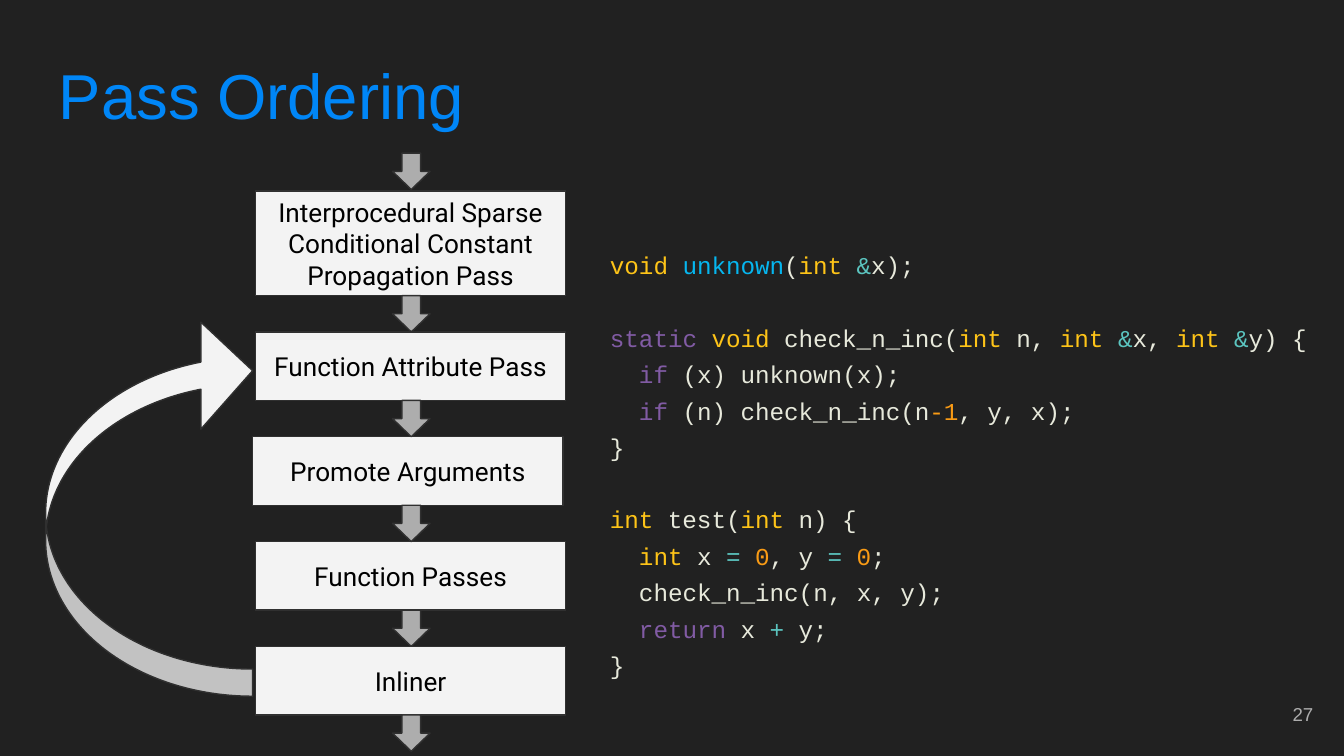
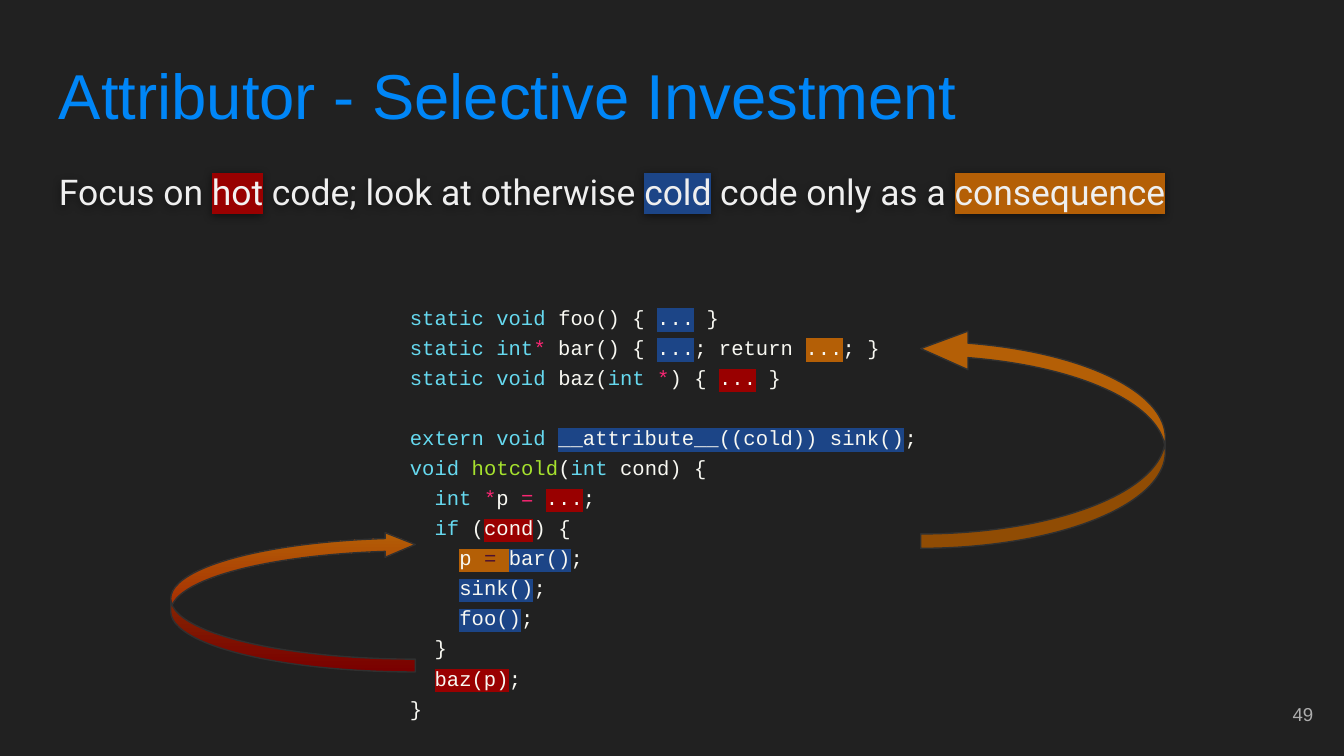
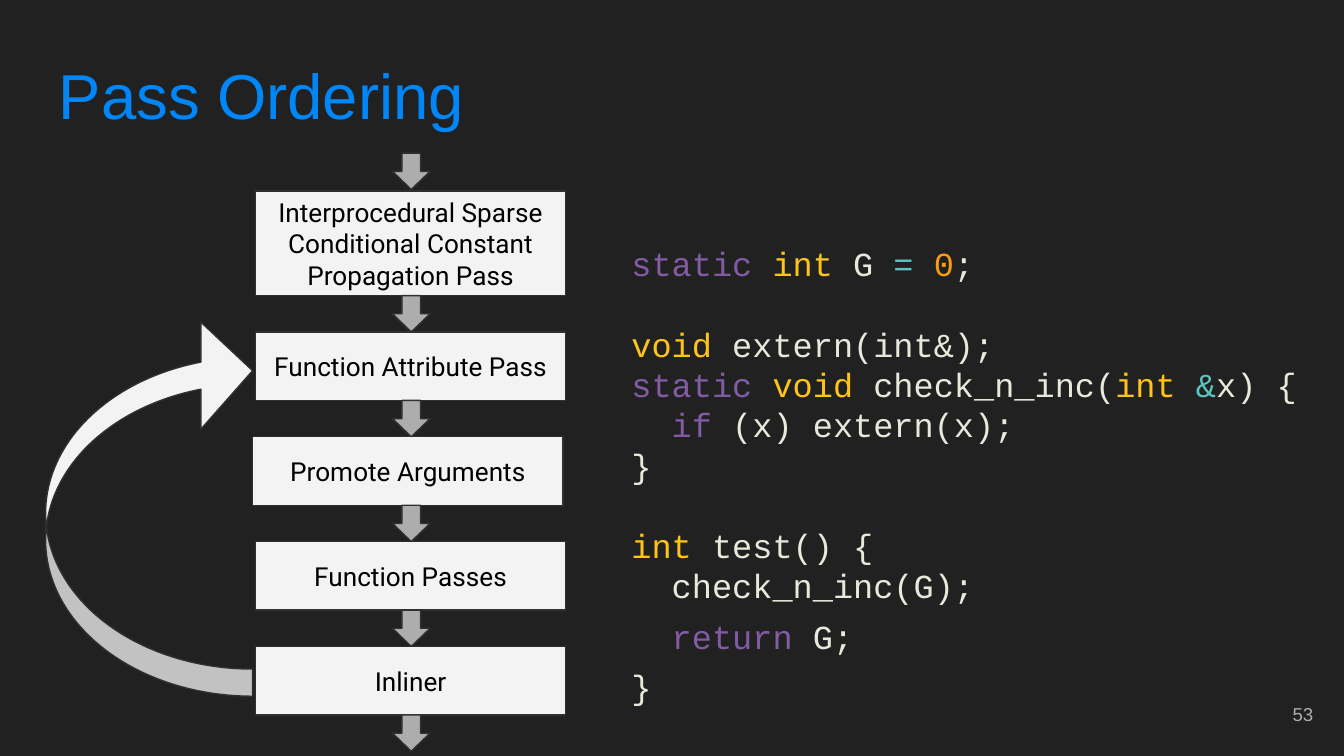
"""Builds three dark slides on compiler pass ordering and the Attributor."""
from lxml.etree import SubElement
from pptx import Presentation
from pptx.dml.color import RGBColor
from pptx.enum.shapes import MSO_SHAPE
from pptx.enum.text import MSO_ANCHOR, PP_ALIGN
from pptx.oxml.ns import qn
from pptx.util import Inches, Pt

COLORS = {
    "background": "212121", "title": "0086F7", "number": "ADADAD",
    "box": "F3F3F3", "arrow": "ADADAD", "outline": "303030", "black": "000000",
    "body": "EFEFEF", "hot": "990000", "cold": "1C4587", "consequence": "B45F06",
    "type": "FEC418", "word": "815BA4", "plain": "E7E9DB", "name": "06B6EF",
    "sign": "5BC4BF", "digit": "F99B15",
    "key": "66D9EF", "code": "F8F8F2", "star": "F92672", "func": "A6E22E",
    "assign": "4C1130",
}
SANS, BODY, MONO = "Arial", "Roboto", "Courier New"
LINE_HEIGHT = 1.19
PASSES = ["Function Attribute Pass", "Promote Arguments", "Function Passes", "Inliner"]

ARGUMENT_CODE = [
    [("void ", "type"), ("unknown", "name"), ("(", "plain"), ("int ", "type"),
     ("&", "sign"), ("x);", "plain")],
    [],
    [("static ", "word"), ("void ", "type"), ("check_n_inc(", "plain"),
     ("int ", "type"), ("n, ", "plain"), ("int ", "type"), ("&", "sign"),
     ("x, ", "plain"), ("int ", "type"), ("&", "sign"), ("y) {", "plain")],
    [("  if ", "word"), ("(x) unknown(x);", "plain")],
    [("  if ", "word"), ("(n) check_n_inc(n", "plain"), ("-1", "digit"),
     (", y, x);", "plain")],
    [("}", "plain")],
    [],
    [("int ", "type"), ("test(", "plain"), ("int ", "type"), ("n) {", "plain")],
    [("  int ", "type"), ("x ", "plain"), ("= ", "sign"), ("0", "digit"),
     (", y ", "plain"), ("= ", "sign"), ("0", "digit"), (";", "plain")],
    [("  check_n_inc(n, x, y);", "plain")],
    [("  return ", "word"), ("x ", "plain"), ("+ ", "sign"), ("y;", "plain")],
    [("}", "plain")],
]
HOT_COLD_CODE = [
    [("static void ", "key"), ("foo() { ", "code"), ("...", "code", "cold"),
     (" }", "code")],
    [("static int", "key"), ("* ", "star"), ("bar() { ", "code"),
     ("...", "code", "cold"), ("; return ", "code"),
     ("...", "code", "consequence"), ("; }", "code")],
    [("static void ", "key"), ("baz(", "code"), ("int ", "key"), ("*", "star"),
     (") { ", "code"), ("...", "code", "hot"), (" }", "code")],
    [],
    [("extern void ", "key"), ("__attribute__((cold))", "code", "cold"),
     (" sink()", "code", "cold"), (";", "code")],
    [("void ", "key"), ("hotcold", "func"), ("(", "code"), ("int ", "key"),
     ("cond) {", "code")],
    [("  int ", "key"), ("*", "star"), ("p ", "code"), ("= ", "star"),
     ("...", "code", "hot"), (";", "code")],
    [("  if ", "key"), ("(", "code"), ("cond", "code", "hot"), (") {", "code")],
    [("    ", "code"), ("p ", "code", "consequence"),
     ("= ", "assign", "consequence"), ("bar()", "code", "cold"), (";", "code")],
    [("    ", "code"), ("sink()", "code", "cold"), (";", "code")],
    [("    ", "code"), ("foo()", "code", "cold"), (";", "code")],
    [("  }", "code")],
    [("  ", "code"), ("baz(p)", "code", "hot"), (";", "code")],
    [("}", "code")],
]
GLOBAL_CODE = [
    [("static ", "word"), ("int ", "type"), ("G ", "plain"), ("= ", "sign"),
     ("0", "digit"), (";", "plain")],
    [],
    [("void ", "type"), ("extern(int&);", "plain")],
    [("static ", "word"), ("void ", "type"), ("check_n_inc(", "plain"),
     ("int ", "type"), ("&", "sign"), ("x) {", "plain")],
    [("  if ", "word"), ("(x) extern(x);", "plain")],
    [("}", "plain")],
    [],
    [("int ", "type"), ("test() {", "plain")],
    [("  check_n_inc(G);", "plain")],
    [("  return", "word"), (" G;", "plain")],
    [("}", "plain")],
]
FOCUS = [
    ("Focus on ", "body"), ("hot", "box", "hot"),
    (" code; look at otherwise ", "body"), ("cold", "body", "cold"),
    (" code only as a ", "body"), ("consequence", "body", "consequence"),
]


def rgb(key):
    """Return the named colour."""
    return RGBColor.from_string(COLORS[key])


def add_run(p, text, color, highlight=None, size=14, font=SANS):
    """Append one formatted run to a paragraph."""
    r = p.add_run()
    r.text = text
    r.font.size = Pt(size)
    r.font.name = font
    r.font.color.rgb = rgb(color)
    if highlight:
        rPr = r.font._element
        mark = SubElement(rPr, qn("a:highlight"))
        SubElement(mark, qn("a:srgbClr"), val=COLORS[highlight])
        rPr.find(qn("a:solidFill")).addnext(mark)


def set_frame(tf, anchor=MSO_ANCHOR.TOP):
    """Wrap a text frame and give it equal insets."""
    tf.word_wrap = True
    tf.vertical_anchor = anchor
    tf.margin_left = tf.margin_right = tf.margin_top = tf.margin_bottom = Inches(0.1)


def add_text(s, at, anchor=MSO_ANCHOR.TOP):
    """Add an empty text box."""
    sp = s.shapes.add_textbox(*map(Inches, at))
    set_frame(sp.text_frame, anchor)
    return sp


def add_shape(s, kind, at, fill, adjustments=()):
    """Add an outlined preset shape."""
    sp = s.shapes.add_shape(kind, *map(Inches, at))
    sp.shadow.inherit = False
    sp.fill.solid()
    sp.fill.fore_color.rgb = rgb(fill)
    sp.line.color.rgb = rgb("outline")
    sp.line.width = Pt(0.75)
    for i, value in enumerate(adjustments):
        sp.adjustments[i] = value
    return sp


def add_loop(s, kind, at, fill, adjustments, flip=False):
    """Add a curved arrow turned upside down."""
    sp = add_shape(s, kind, at, fill, adjustments)
    sp.rotation = 180
    if flip:
        sp._element.spPr.find(qn("a:xfrm")).set("flipH", "1")
    return sp


def add_pass(s, at, label):
    """Add a box naming one compiler pass."""
    sp = add_shape(s, MSO_SHAPE.RECTANGLE, at, "box")
    set_frame(sp.text_frame, MSO_ANCHOR.MIDDLE)
    p = sp.text_frame.paragraphs[0]
    p.alignment = PP_ALIGN.CENTER
    add_run(p, label, "black", font=BODY)


def add_pipeline(s):
    """Draw the pass pipeline with its loop back from the inliner."""
    step = 0.78
    add_pass(s, (1.9, 1.42, 2.31, 0.78),
             "Interprocedural Sparse Conditional Constant Propagation Pass")
    for i, label in enumerate(PASSES):
        left = 1.88 if label == "Promote Arguments" else 1.9
        add_pass(s, (left, 2.47 + i * step, 2.31, 0.51), label)
    for top in [1.14] + [2.2 + i * step for i in range(len(PASSES) + 1)]:
        add_shape(s, MSO_SHAPE.DOWN_ARROW, (2.92, top, 0.28, 0.27), "arrow")
    add_loop(s, MSO_SHAPE.CURVED_RIGHT_ARROW, (0.34, 2.36, 1.54, 2.82), "box",
             (0.131, 0.517, 0.25), flip=True)


def add_code(s, at, lines, size, spacings, indent=0):
    """Add a code listing, where an empty line becomes space before the next."""
    tf = add_text(s, at).text_frame
    tf.margin_left = Inches(0.1 + indent)
    p, gap = tf.paragraphs[0], 0
    for i, (line, spacing) in enumerate(zip(lines, spacings)):
        if not line:
            gap = size * LINE_HEIGHT * spacing
            continue
        if i:
            p = tf.add_paragraph()
        p.line_spacing = spacing
        p.space_before = Pt(round(gap, 1))
        gap = 0
        for part in line:
            add_run(p, *part, size=size, font=MONO)


def add_focus(s):
    """Add the shadowed statement under the title."""
    sp = add_text(s, (0.34, 1.12, 9.32, 3.54))
    effects = SubElement(sp._element.spPr, qn("a:effectLst"))
    shadow = SubElement(effects, qn("a:outerShdw"), blurRad="57150",
                        dist="19050", dir="5400000", algn="bl", rotWithShape="0")
    color = SubElement(shadow, qn("a:srgbClr"), val=COLORS["black"])
    SubElement(color, qn("a:alpha"), val="50000")
    p = sp.text_frame.paragraphs[0]
    p.line_spacing = 1.15
    for part in FOCUS:
        add_run(p, *part, size=19, font=BODY)
    sp.text_frame.margin_top = Inches(0.1) + Pt(BODY_TOP)


BODY_TOP = 0


def add_slide(prs, title, number):
    """Add a dark slide with its title and slide number."""
    s = prs.slides.add_slide(prs.slide_layouts[6])
    s.background.fill.solid()
    s.background.fill.fore_color.rgb = rgb("background")
    sp = add_text(s, (0.34, 0.32, 9.32, 0.63))
    add_run(sp.text_frame.paragraphs[0], title, "title", size=34)
    sp = add_text(s, (9.27, 5.1, 0.6, 0.43), MSO_ANCHOR.MIDDLE)
    p = sp.text_frame.paragraphs[0]
    p.alignment = PP_ALIGN.RIGHT
    add_run(p, str(number), "number", size=10)
    return s


def main():
    """Build and save the slides."""
    prs = Presentation()
    prs.slide_width, prs.slide_height = Inches(10), Inches(5.625)

    s = add_slide(prs, "Pass Ordering", 27)
    add_pipeline(s)
    add_code(s, (4.44, 1.71, 5.56, 3.59), ARGUMENT_CODE, 13,
             [1.25] * len(ARGUMENT_CODE))

    s = add_slide(prs, "Attributor - Selective Investment", 49)
    add_focus(s)
    add_code(s, (2.88, 2.13, 4.23, 3.28), HOT_COLD_CODE, 11,
             [1.22] * len(HOT_COLD_CODE), indent=0.07)
    sp = add_loop(s, MSO_SHAPE.CURVED_LEFT_ARROW, (1.27, 3.96, 1.82, 1.04),
                  "consequence", (0.092, 0.176, 0.216))
    sp.fill.gradient()
    sp.fill.gradient_angle = 270
    for stop, color in zip(sp.fill.gradient_stops, ("hot", "consequence")):
        stop.color.rgb = rgb(color)
    add_loop(s, MSO_SHAPE.CURVED_LEFT_ARROW, (6.85, 2.45, 1.82, 1.63),
             "consequence", (0.066, 0.176, 0.216), flip=True)

    s = add_slide(prs, "Pass Ordering", 53)
    add_pipeline(s)
    add_code(s, (4.6, 1.71, 5.17, 3.59), GLOBAL_CODE, 18, [1] * 9 + [1.25] * 2)

    prs.save("out.pptx")


if __name__ == "__main__":
    main()
